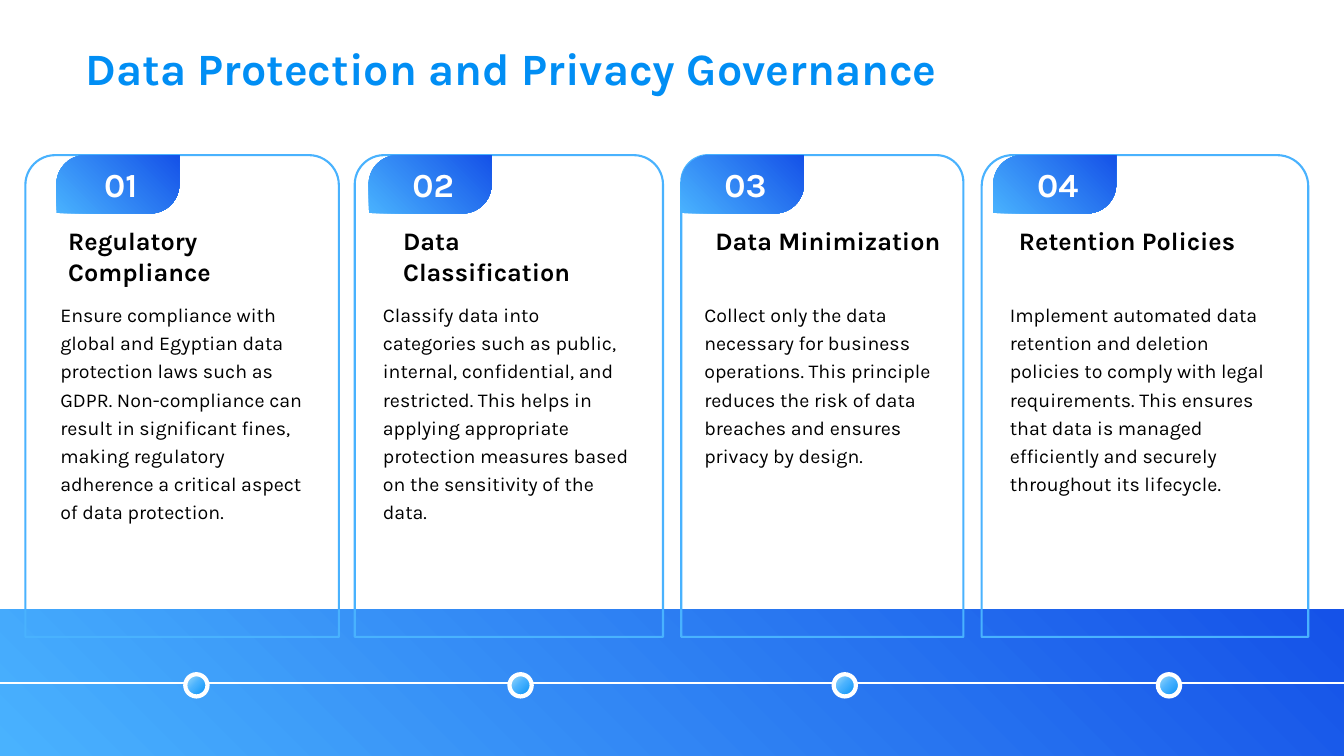
from dataclasses import dataclass

from lxml import etree
from pptx import Presentation
from pptx import util as u
from pptx.dml.color import RGBColor
from pptx.enum import shapes, text
from pptx.oxml import ns

COLORS = {"title": "018EF4", "sky": "49B2FE", "royal": "1552E8",
          "pale": "95D7F9", "white": "FFFFFF", "black": "000000"}
FONT = "Karla"
WIDTH, HEIGHT = 33.87, 19.05
CARD_TOP, CARD_HEIGHT = 3.91, 12.14
BADGE_LEFT, BADGE_STEP, BADGE_WIDTH, BADGE_HEIGHT = 1.42, 7.87, 3.1, 1.47
DOT_LEFT, DOT_STEP, DOT_SIZE = 4.67, 8.17, 0.56
BLUE_STOPS = [(0, "sky"), (100, "royal")]
DOT_STOPS = [(0, "title"), (53, "sky"), (91, "pale"), (100, "pale")]


@dataclass
class Card:
    left: float
    width: float
    heading: str
    heading_box: tuple[float, float, float]  # left, width, height
    body: str
    body_box: tuple[float, float, float]


CARDS = [
    Card(0.64, 7.9, "Regulatory Compliance", (1.47, 6.5, 1.65),
         "Ensure compliance with global and Egyptian data protection laws such as GDPR. "
         "Non-compliance can result in significant fines, making regulatory adherence "
         "a critical aspect of data protection.", (1.27, 6.76, 6.07)),
    Card(8.94, 7.77, "Data Classification", (9.91, 5.94, 1.65),
         "Classify data into categories such as public, internal, confidential, and "
         "restricted. This helps in applying appropriate protection measures based on "
         "the sensitivity of the data.", (9.4, 6.86, 6.07)),
    Card(17.17, 7.11, "Data Minimization", (17.78, 6.32, 0.79),
         "Collect only the data necessary for business operations. This principle "
         "reduces the risk of data breaches and ensures privacy by design.",
         (17.5, 6.5, 4.55)),
    Card(24.74, 8.23, "Retention Policies", (25.43, 6.4, 0.79),
         "Implement automated data retention and deletion policies to comply with legal "
         "requirements. This ensures that data is managed efficiently and securely "
         "throughout its lifecycle.", (25.2, 7.14, 5.31)),
]


def color(name: str) -> RGBColor:
    return RGBColor.from_string(COLORS[name])


def place(shape, left: float, top: float, width: float, height: float) -> None:
    shape.left, shape.top = u.Cm(left), u.Cm(top)
    shape.width, shape.height = u.Cm(width), u.Cm(height)


def write(shape, content: str, *, size: int, fill: str = "black", bold: bool = False,
          align=text.PP_ALIGN.LEFT, spacing: float = 1.0) -> None:
    frame = shape.text_frame
    frame.text = content
    frame.word_wrap = True
    frame.auto_size = text.MSO_AUTO_SIZE.SHAPE_TO_FIT_TEXT
    frame.vertical_anchor = text.MSO_ANCHOR.TOP
    paragraph = frame.paragraphs[0]
    paragraph.alignment = align
    paragraph.line_spacing = spacing
    font = paragraph.runs[0].font
    font.name, font.size, font.bold = FONT, u.Pt(size), bold
    font.color.rgb = color(fill)


def add_text(slide, box: tuple, content: str, **style) -> None:
    shape = slide.shapes.add_textbox(*(u.Cm(value) for value in box))
    write(shape, content, **style)


def add_shape(slide, kind, box: tuple, *, adjustments: tuple = (), stops=None,
              angle: int = 315, line: str | None = None, weight: float = 1.5) -> None:
    shape = slide.shapes.add_shape(kind, *(u.Cm(value) for value in box))
    shape.shadow.inherit = False
    for index, value in enumerate(adjustments):
        shape.adjustments[index] = value
    if stops:
        gradient = etree.Element(ns.qn("a:gradFill"), rotWithShape="1")
        stop_list = etree.SubElement(gradient, ns.qn("a:gsLst"))
        for position, name in stops:
            stop = etree.SubElement(stop_list, ns.qn("a:gs"), pos=str(position * 1000))
            etree.SubElement(stop, ns.qn("a:srgbClr"), val=COLORS[name])
        etree.SubElement(gradient, ns.qn("a:lin"), ang=str(angle * 60000), scaled="0")
        shape._element.spPr.find(ns.qn("a:prstGeom")).addnext(gradient)
    else:
        shape.fill.background()
    if line:
        shape.line.color.rgb = color(line)
        shape.line.width = u.Pt(weight)
    else:
        shape.line.fill.background()


def add_timeline(slide) -> None:
    y = u.Cm(17.22)
    connector = slide.shapes.add_connector(
        shapes.MSO_CONNECTOR.STRAIGHT, 0, y, u.Cm(WIDTH), y)
    connector.line.color.rgb = color("white")
    connector.line.width = u.Pt(1.5)
    etree.SubElement(connector._element.spPr, ns.qn("a:effectLst"))
    for index in range(len(CARDS)):
        add_shape(slide, shapes.MSO_SHAPE.OVAL,
                  (DOT_LEFT + index * DOT_STEP, 16.99, DOT_SIZE, DOT_SIZE),
                  stops=DOT_STOPS, angle=225, line="white", weight=3)


def main() -> None:
    presentation = Presentation()
    presentation.slide_width, presentation.slide_height = u.Cm(WIDTH), u.Cm(HEIGHT)
    slide = presentation.slides.add_slide(presentation.slide_layouts[5])

    # Title
    title = slide.shapes.title
    place(title, 1.9, 0.91, 27.23, 1.4)
    write(title, "Data Protection and Privacy Governance", size=32, fill="title", bold=True)

    # Footer band
    add_shape(slide, shapes.MSO_SHAPE.RECTANGLE, (0, 15.37, WIDTH, 3.68), stops=BLUE_STOPS)

    # Card frames and badges
    badge_lefts = [BADGE_LEFT + index * BADGE_STEP for index in range(len(CARDS))]
    for card, badge_left in zip(CARDS, badge_lefts):
        add_shape(slide, shapes.MSO_SHAPE.ROUND_2_SAME_RECTANGLE,
                  (card.left, CARD_TOP, card.width, CARD_HEIGHT),
                  adjustments=(0.095, 0), line="sky")
        add_shape(slide, shapes.MSO_SHAPE.ROUND_2_DIAG_RECTANGLE,
                  (badge_left, CARD_TOP, BADGE_WIDTH, BADGE_HEIGHT),
                  adjustments=(0.5, 0), stops=BLUE_STOPS)

    add_timeline(slide)

    # Card texts
    for number, (card, badge_left) in enumerate(zip(CARDS, badge_lefts), start=1):
        add_text(slide, (badge_left + 0.76, 4.01, 1.73, 1.02), f"{number:02}",
                 size=24, fill="white", bold=True, align=text.PP_ALIGN.CENTER)
        left, width, height = card.heading_box
        add_text(slide, (left, 5.56, width, height), card.heading, size=18, bold=True)
        left, width, height = card.body_box
        add_text(slide, (left, 7.39, width, height), card.body, size=14, spacing=1.2)

    presentation.save("out.pptx")


if __name__ == "__main__":
    main()
